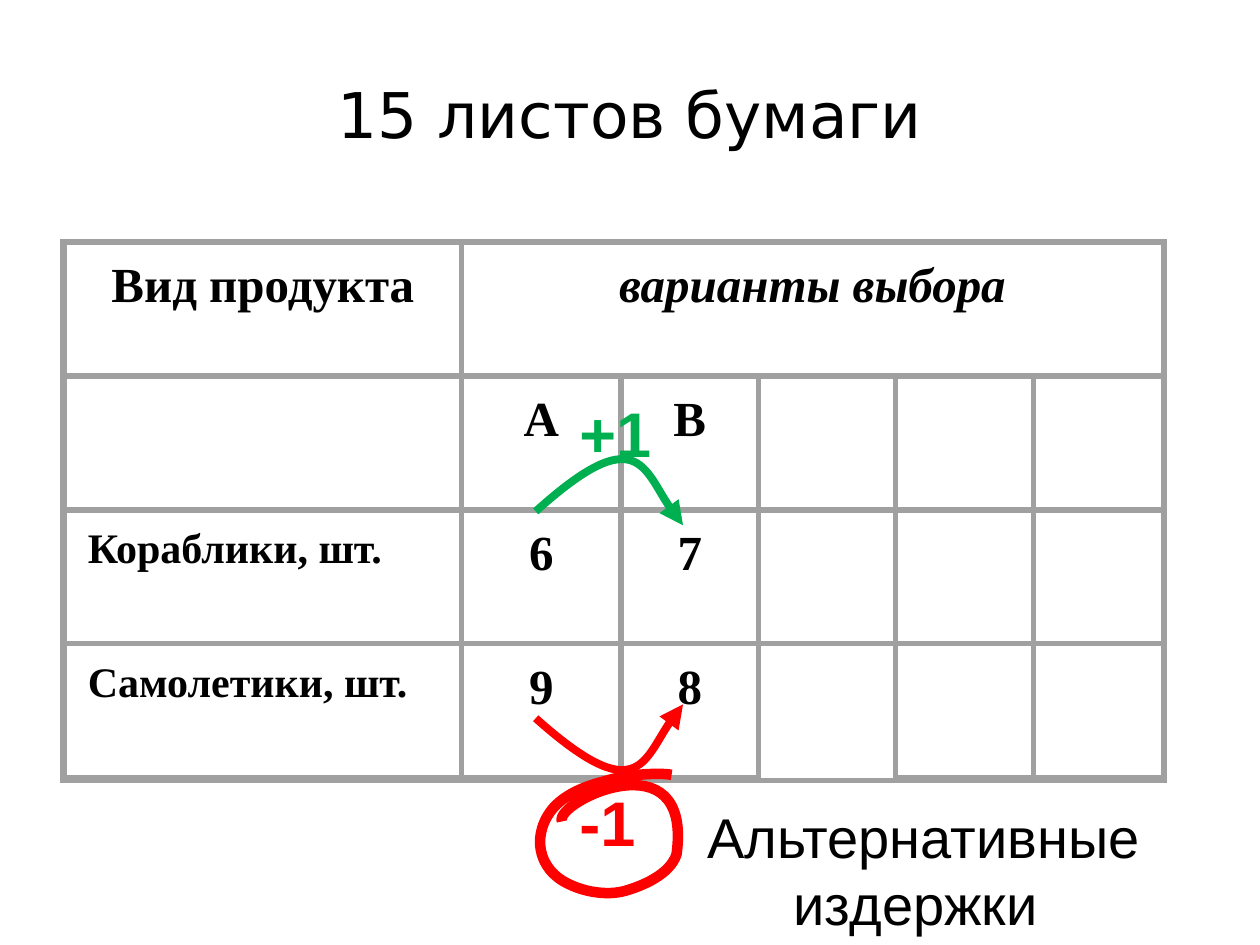
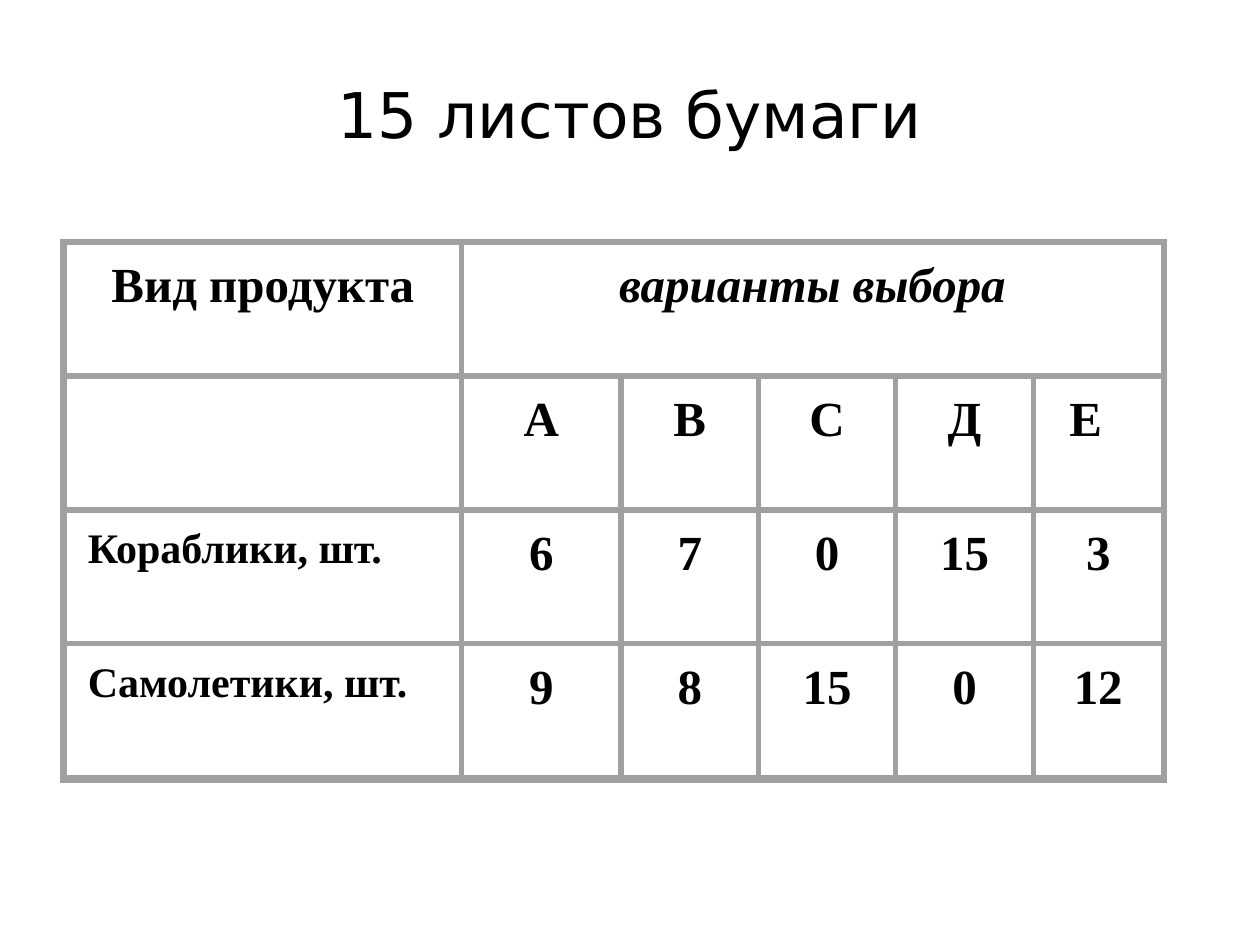
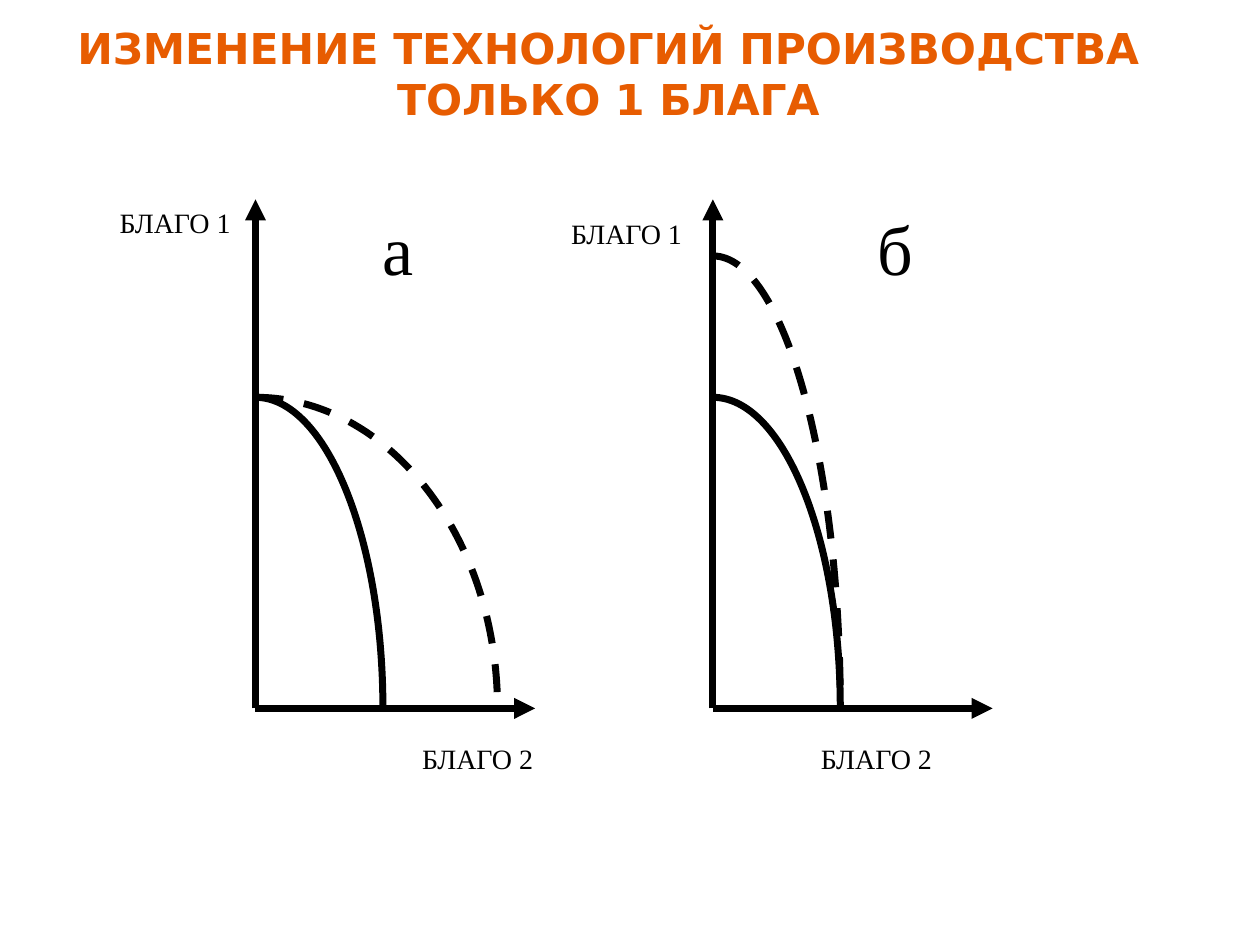
from dataclasses import dataclass
from itertools import accumulate

from lxml.etree import SubElement as Sub
from pptx import Presentation
from pptx.dml.color import RGBColor as Rgb
from pptx.enum.dml import MSO_LINE as Dash
from pptx.enum.shapes import MSO_CONNECTOR as Conn, MSO_SHAPE as Form
from pptx.enum.text import MSO_ANCHOR as Anchor, MSO_AUTO_SIZE as Fit, PP_ALIGN as Align
from pptx.oxml.ns import qn
from pptx.util import Cm, Pt


@dataclass(frozen=True)
class Theme:
    black: str = "000000"
    white: str = "FFFFFF"
    grid: str = "A0A0A0"
    gain: str = "00B050"
    loss: str = "FF0000"
    accent: str = "E75C01"
    head: str = "DejaVu Sans"
    serif: str = "Times New Roman"
    sans: str = "Arial"
    title: float = 36
    topic: float = 24.3
    cell: float = 28
    label: float = 24
    note: float = 32
    axis: float = 16
    letter: float = 40
    border: float = 3
    stroke: float = 4
    arrow: float = 4.5
    ring: float = 6


T = Theme()

# Content
PAPER = "15 листов бумаги"
TOPIC = "ИЗМЕНЕНИЕ ТЕХНОЛОГИЙ ПРОИЗВОДСТВА ТОЛЬКО 1 БЛАГА"
ROWS = [
    ("Вид продукта", "варианты выбора"),
    ("", "А", "В", "С", "Д", "Е"),
    ("Кораблики, шт.", "6", "7", "0", "15", "3"),
    ("Самолетики, шт.", "9", "8", "15", "0", "12"),
]
COST = ["Альтернативные", "издержки "]
GOODS = ("БЛАГО 1", "БЛАГО 2")

# Places, in centimetres
WIDTHS = [8.02, 3.21, 2.77, 2.77, 2.77, 2.62]
LEFT, TOP, ROW = 1.29, 4.88, 2.7
EDGES = list(accumulate(WIDTHS, initial=LEFT))
FRAME = (1.27, 4.88, 22.2, 10.85)
PAD, DROP, INSET, SHIFT = 0.23, 0.23, 0.25, 0.5
OPEN = {(1, 3), (3, 3)}  # cells without an outline while options are hidden
GAIN = [(10.8, 10.31), (12.85, 8.46), (13.06, 9.73), (13.77, 10.59)]
LOSS = [(10.8, 14.48), (12.85, 16.31), (13.06, 15.06), (13.77, 14.2)]
RING = [
    (11.33, 16.56), (11.15, 16.18), (13.97, 14.81), (13.64, 17.22),
    (13.51, 17.63), (12.95, 17.86), (12.6, 17.96),
    (12.24, 18.06), (11.79, 17.98), (11.48, 17.83),
    (11.15, 17.68), (10.95, 17.42), (10.9, 17.12),
    (10.85, 16.84), (10.95, 16.51), (11.18, 16.26),
    (11.43, 16), (11.79, 15.85), (12.19, 15.75),
    (12.57, 15.62), (13.26, 15.57), (13.54, 15.62),
]
BASE, PEAK, REACH = 14.28, 4.02, 5.64
OLD = (2.57, 6.27)
# letter, origin, new curve radii, places of letter and of both axis names
PLOTS = [
    ("а", 5.15, (4.88, 6.27), (7.47, 4.01), (0.43, 4.01), (8.26, 14.82)),
    ("б", 14.37, (2.57, 9.12), (17.45, 4.01), (9.53, 4.24), (16.3, 14.82)),
]


def put(par, text, size, font, color=T.black, bold=False, italic=False, align=Align.LEFT):
    par.alignment = align
    run = par.add_run()
    run.text = text
    face = run.font
    face.size, face.name, face.bold, face.italic = Pt(size), font, bold, italic
    face.color.rgb = Rgb.from_string(color)


def pen(shape, color, width, dash=False, tip=False, sharp=False):
    """Style a line; tip adds an arrowhead at its end, sharp squares its corners."""
    line = shape.line
    line.color.rgb = Rgb.from_string(color)
    line.width = Pt(width)
    if dash:
        line.dash_style = Dash.DASH
    mark = shape.element.spPr.find(qn("a:ln"))
    if sharp:
        Sub(mark, qn("a:miter"), lim="800000")
    if tip:
        Sub(mark, qn("a:tailEnd"), type="triangle")


def head(slide, text, box, size, color=T.black, bold=False):
    title = slide.shapes.title
    title.left, title.top, title.width, title.height = map(Cm, box)
    frame = title.text_frame
    frame.word_wrap, frame.auto_size = True, Fit.NONE
    frame.vertical_anchor = Anchor.BOTTOM
    put(frame.paragraphs[0], text, size, T.head, color, bold, align=Align.CENTER)


def note(slide, lines, box, size, color=T.black, bold=False, align=Align.LEFT):
    """Add an unwrapped text box that fits its lines."""
    frame = slide.shapes.add_textbox(*map(Cm, box)).text_frame
    frame.word_wrap, frame.auto_size = False, Fit.SHAPE_TO_FIT_TEXT
    for i, text in enumerate(lines):
        par = frame.add_paragraph() if i else frame.paragraphs[0]
        put(par, text, size, T.sans, color, bold, align=align)


def plate(slide, text, spot, size, box, align=Align.LEFT):
    """Add a white rectangle with text at its top."""
    shape = slide.shapes.add_shape(Form.RECTANGLE, *map(Cm, spot + box))
    shape.shadow.inherit = False
    shape.fill.solid()
    shape.fill.fore_color.rgb = Rgb.from_string(T.white)
    shape.line.fill.background()
    frame = shape.text_frame
    frame.word_wrap, frame.vertical_anchor = True, Anchor.TOP
    put(frame.paragraphs[0], text, size, T.serif, align=align)


def curve(slide, knots, color, width, dash=False, tip=False):
    """Draw a chain of cubic curves: a start, then three points for each."""
    start, *rest = [tuple(map(Cm, knot)) for knot in knots]
    pencil = slide.shapes.build_freeform(*start)
    pencil.add_line_segments(rest, close=False)
    shape = pencil.convert_to_shape()
    steps = list(shape.element.iter(qn("a:lnTo")))
    track = steps[0].getparent()
    for i in range(0, len(steps), 3):
        bend = Sub(track, qn("a:cubicBezTo"))
        for step in steps[i:i + 3]:
            bend.append(step[0])
            track.remove(step)
    shape.shadow.inherit = False
    shape.fill.background()
    pen(shape, color, width, dash, tip)


def quarter(slide, x, radii, dash=False):
    """Draw a quarter ellipse from the upright axis to the flat one."""
    wide, high = radii
    knots = [(x, BASE - high), (x + 0.55 * wide, BASE - high),
             (x + wide, BASE - 0.55 * high), (x + wide, BASE)]
    curve(slide, knots, T.black, T.stroke, dash)


def axis(slide, x, end):
    line = slide.shapes.add_connector(
        Conn.STRAIGHT, Cm(x), Cm(BASE), *map(Cm, end))
    Sub(line.element.spPr, qn("a:effectLst"))
    pen(line, T.black, T.stroke, tip=True)


def outline(slide, box):
    shape = slide.shapes.add_shape(Form.RECTANGLE, *map(Cm, box))
    shape.shadow.inherit = False
    shape.fill.background()
    pen(shape, T.grid, T.border, sharp=True)


def entry(slide, text, box, row, col):
    """Write the text of one cell, set in from its outline."""
    x, y, wide, high = box
    frame = slide.shapes.add_textbox(
        *map(Cm, (x + PAD, y, wide - 2 * PAD, high))).text_frame
    frame.word_wrap = True
    frame.margin_top = Cm(DROP)
    frame.margin_left = frame.margin_right = Cm(INSET)
    size, align = T.cell, Align.CENTER
    if row and not col:
        size, align = T.label, Align.JUSTIFY
    if (row, col) == (1, len(WIDTHS) - 1):
        align, frame.margin_left = Align.LEFT, Cm(SHIFT)
    put(frame.paragraphs[0], text, size, T.serif, bold=True,
        italic=(row, col) == (0, 1), align=align)


def paper(slide, count):
    """Lay out the choices with the first count of them filled in."""
    for r, row in enumerate(ROWS):
        for c, text in enumerate(row):
            end = EDGES[c + 1] if c < len(row) - 1 else EDGES[-1]
            box = (EDGES[c], TOP + r * ROW, end - EDGES[c], ROW)
            shown = c <= count
            if text and shown:
                entry(slide, text, box, r, c)
            if shown or (r, c) not in OPEN:
                outline(slide, box)
    outline(slide, FRAME)
    head(slide, PAPER, (1.27, 0.43, 22.86, 2.74), T.title)


def trade(slide):
    paper(slide, 2)
    curve(slide, GAIN, T.gain, T.arrow, tip=True)
    curve(slide, LOSS, T.loss, T.arrow, tip=True)
    note(slide, ["+1"], (11.43, 7.82, 1.98, 1.8), T.title, T.gain, True)
    note(slide, ["-1"], (11.43, 15.67, 1.65, 1.8), T.title, T.loss, True)
    curve(slide, RING, T.loss, T.ring)
    note(slide, COST, (13.97, 16.05, 9.3, 3), T.note, align=Align.CENTER)


def shift(slide):
    head(slide, TOPIC, (1.05, 0.42, 22.43, 2.2), T.topic, T.accent, True)
    for _, x, new, *_ in PLOTS:
        axis(slide, x, (x + REACH, BASE))
        axis(slide, x, (x, PEAK))
        quarter(slide, x, OLD)
        quarter(slide, x, new, dash=True)
    for letter, _, _, spot, up, along in PLOTS:
        plate(slide, GOODS[1], along, T.axis, (5.13, 2.29))
        plate(slide, GOODS[0], up, T.axis, (4.47, 3.99), Align.RIGHT)
        plate(slide, letter, spot, T.letter, (1.52, 2.29))


def main():
    deck = Presentation()
    deck.slide_width, deck.slide_height = Cm(25.4), Cm(19.05)
    plain = deck.slide_layouts[5]
    trade(deck.slides.add_slide(plain))
    paper(deck.slides.add_slide(plain), 5)
    shift(deck.slides.add_slide(plain))
    deck.save("out.pptx")


if __name__ == "__main__":
    main()
